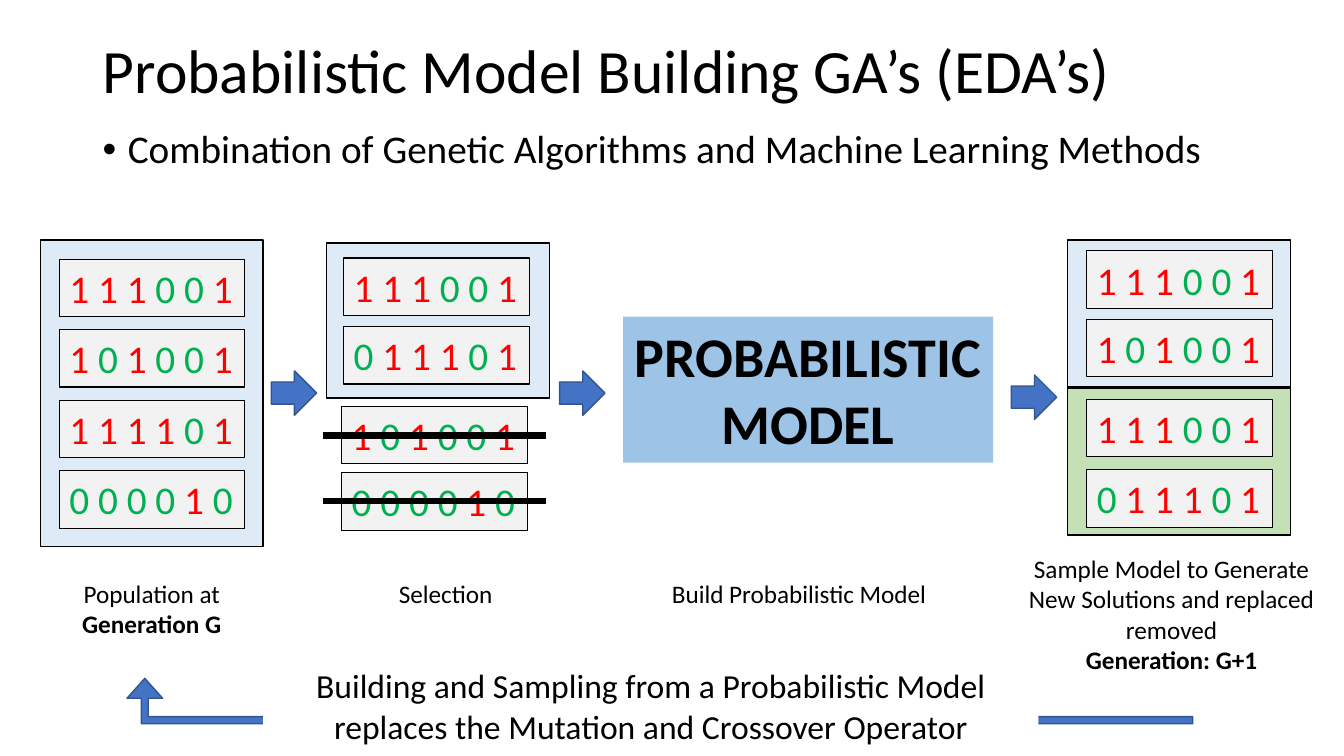
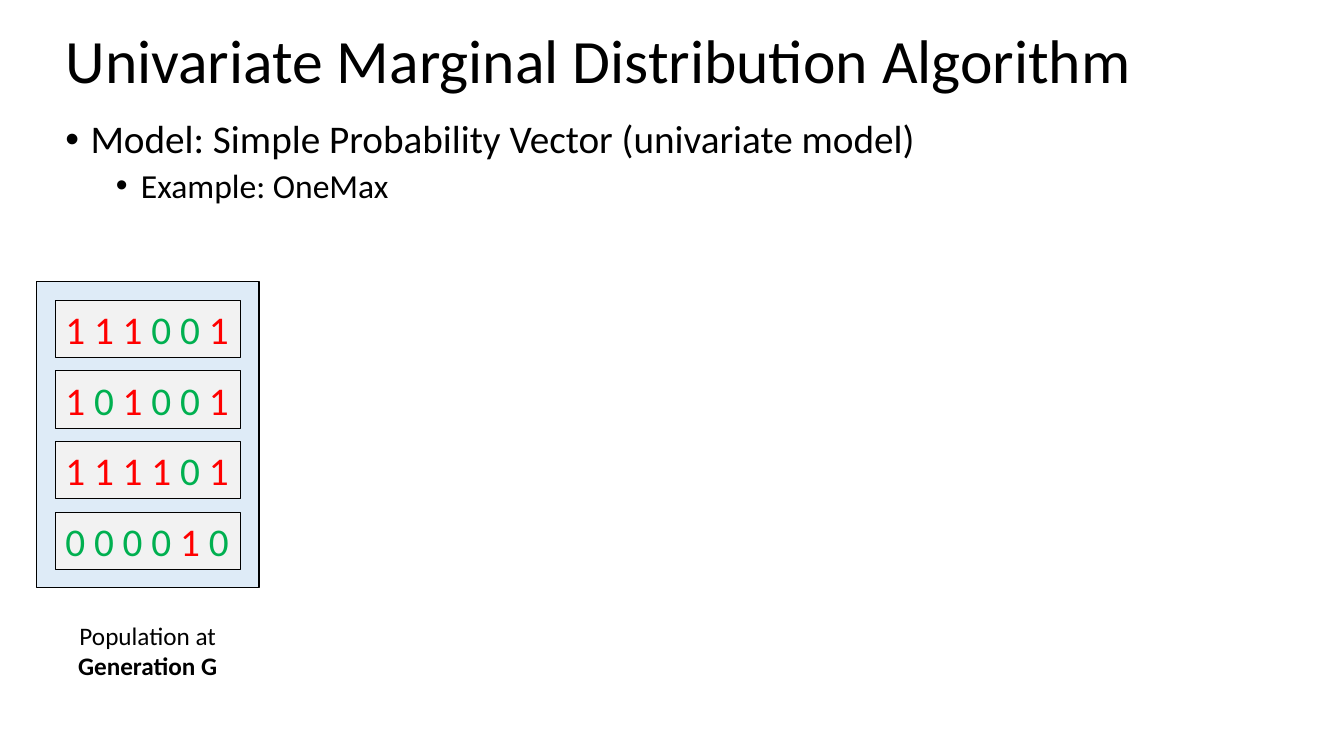
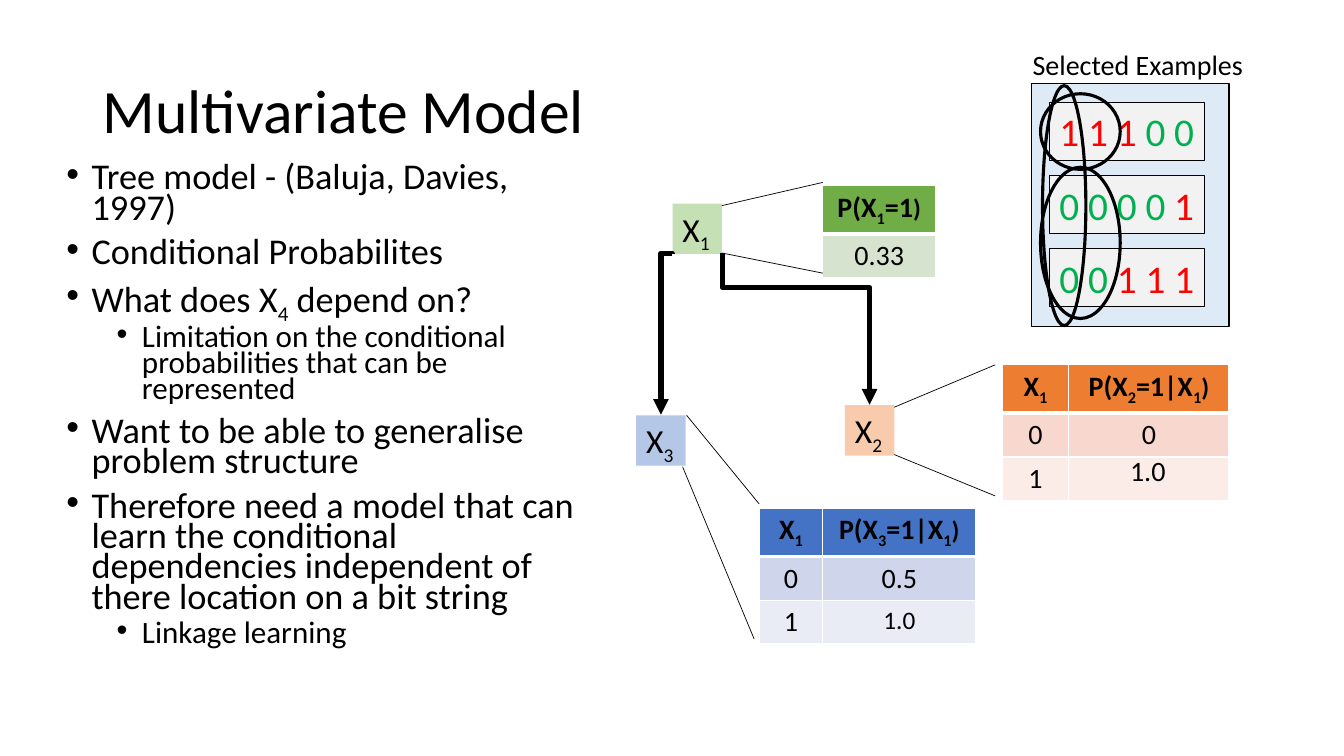
from itertools import groupby

from lxml.etree import SubElement
from pptx import Presentation
from pptx.dml.color import RGBColor
from pptx.enum.shapes import MSO_CONNECTOR, MSO_SHAPE
from pptx.enum.text import MSO_ANCHOR, MSO_AUTO_SIZE, PP_ALIGN
from pptx.oxml.ns import qn
from pptx.util import Inches, Pt

BLACK = RGBColor(0x00, 0x00, 0x00)
WHITE = RGBColor(0xFF, 0xFF, 0xFF)
RED = RGBColor(0xFF, 0x00, 0x00)
BIT_GREEN = RGBColor(0x00, 0xB0, 0x50)
GRAY = RGBColor(0xF2, 0xF2, 0xF2)
PALE_BLUE = RGBColor(0xDE, 0xEB, 0xF7)
LIGHT_BLUE = RGBColor(0x9D, 0xC3, 0xE6)
NODE_BLUE = RGBColor(0xB4, 0xC7, 0xE7)
NODE_GREEN = RGBColor(0xC5, 0xE0, 0xB4)
NODE_ORANGE = RGBColor(0xF8, 0xCB, 0xAD)
BLUE = RGBColor(0x44, 0x72, 0xC4)
DARK_BLUE = RGBColor(0x32, 0x54, 0x91)
GREEN = RGBColor(0x70, 0xAD, 0x47)
GREEN_ROW = RGBColor(0xD5, 0xE3, 0xCF)
ORANGE = RGBColor(0xED, 0x7D, 0x31)
ORANGE_ROWS = [RGBColor(0xF8, 0xD7, 0xCE), RGBColor(0xFC, 0xEC, 0xE8)]
BLUE_ROWS = [RGBColor(0xCF, 0xD5, 0xEA), RGBColor(0xE9, 0xEB, 0xF5)]
FONT = "Calibri"
RECT = MSO_SHAPE.RECTANGLE


def write(p, text, size, bold=False, color=BLACK):
    """Add runs to a paragraph; the character after each _ is a subscript."""
    plain, *subs = text.split("_")
    parts = [(plain, False)]
    for part in subs:
        parts += [(part[0], True), (part[1:], False)]
    for part, is_sub in parts:
        if part:
            r = p.add_run()
            r.text = part
            for name, value in {"name": FONT, "size": Pt(size), "bold": bold}.items():
                setattr(r.font, name, value)
            r.font.color.rgb = color
            if is_sub:
                r.font._element.set("baseline", "-25000")


def put(s, kind, x, y, w, h, fill=None, line=None, weight=1):
    """Add a shape, or a text box when kind is None."""
    at = [Inches(v) for v in (x, y, w, h)]
    if kind is None:
        sp = s.shapes.add_textbox(*at)
    else:
        sp = s.shapes.add_shape(kind, *at)
        sp.shadow.inherit = False
    if fill is None:
        sp.fill.background()
    else:
        sp.fill.solid()
        sp.fill.fore_color.rgb = fill
    if line is None:
        sp.line.fill.background()
    else:
        sp.line.color.rgb = line
        sp.line.width = Pt(weight)
    tf = sp.text_frame
    tf.word_wrap = True
    tf.vertical_anchor = MSO_ANCHOR.TOP
    tf.paragraphs[0].alignment = PP_ALIGN.LEFT
    return sp


prs = Presentation()
prs.slide_width, prs.slide_height = Inches(13.33), Inches(7.5)

# Slides with titles
titles = [
    ("Probabilistic Model Building GA’s (EDA’s)", 0.92, 0, 11.5),
    ("Univariate Marginal Distribution Algorithm", 0.55, -0.09, 12.2),
    ("Multivariate Model", 0.92, 0.4, 11.5),
]
for text, x, y, w in titles:
    s = prs.slides.add_slide(prs.slide_layouts[5])
    title = s.shapes.title
    place = {"left": x, "top": y, "width": w, "height": 1.45}
    for name, value in place.items():
        setattr(title, name, Inches(value))
    tf = title.text_frame
    tf.auto_size = MSO_AUTO_SIZE.NONE
    tf.vertical_anchor = MSO_ANCHOR.MIDDLE
    p = tf.paragraphs[0]
    p.alignment = PP_ALIGN.LEFT
    p.line_spacing = 0.9
    write(p, text, 44)
overview, univariate, multivariate = prs.slides

# Bullet lists: box, line spacing, sizes by level, items
bodies = [
    (overview, (0.92, 1.24, 11.31, 1), 0.9, (28, 24), [
        (0, "Combination of Genetic Algorithms and Machine Learning Methods"),
    ]),
    (univariate, (0.55, 1.14, 12.2, 1.06), 0.9, (28, 24), [
        (0, "Model: Simple Probability Vector (univariate model)"),
        (1, "Example: OneMax"),
    ]),
    (multivariate, (0.56, 1.59, 5.37, 5.16), 0.7, (25.9, 22.2), [
        (0, "Tree model - (Baluja, Davies, 1997)"),
        (0, "Conditional Probabilites"),
        (0, "What does X_4 depend on?"),
        (1, "Limitation on the conditional probabilities that can be represented"),
        (0, "Want to be able to generalise problem structure"),
        (0, "Therefore need a model that can learn the conditional dependencies "
            "independent of there location on a bit string"),
        (1, "Linkage learning"),
    ]),
]
for s, box, spacing, sizes, items in bodies:
    tf = put(s, None, *box).text_frame
    for i, (level, text) in enumerate(items):
        p = tf.add_paragraph() if i else tf.paragraphs[0]
        p.level = level
        p.line_spacing = spacing
        p.space_before = Pt((10, 5)[level])
        pPr = p._p.get_or_add_pPr()
        pPr.set("marL", str(Inches(0.25 + 0.5 * level)))
        pPr.set("indent", str(Inches(-0.25)))
        SubElement(pPr, qn("a:buFont")).set("typeface", "Arial")
        SubElement(pPr, qn("a:buChar")).set("char", "•")
        write(p, text, sizes[level])

# Panels behind the bit strings
for s, x, y, w, h, fill in [
    (overview, 3.24, 2.41, 2.21, 1.54, PALE_BLUE),
    (overview, 0.4, 2.38, 2.21, 3.04, PALE_BLUE),
    (overview, 10.59, 3.85, 2.21, 1.46, NODE_GREEN),
    (overview, 10.59, 2.38, 2.21, 1.46, PALE_BLUE),
    (univariate, 0.36, 2.79, 2.21, 3.04, PALE_BLUE),
    (multivariate, 10.23, 0.83, 1.96, 2.41, PALE_BLUE),
]:
    put(s, RECT, x, y, w, h, fill, BLACK)

# Bit strings: left, width, first top, step, strings
population = ["111001", "101001", "111101", "000010"]
for s, x, w, top, step, strings in [
    (overview, 0.59, 1.84, 2.57, 0.7, population),
    (overview, 3.41, 1.84, 2.56, 0.68, ["111001", "011101"]),
    (overview, 3.39, 1.84, 4.03, 0.66, ["101001", "000010"]),
    (overview, 10.78, 1.84, 2.49, 0.68, ["111001", "101001"]),
    (overview, 10.78, 1.84, 3.96, 0.7, ["111001", "011101"]),
    (univariate, 0.55, 1.84, 2.98, 0.7, population),
    (multivariate, 10.41, 1.54, 1.02, 0.725, ["11100", "00001", "00111"]),
]:
    for i, bits in enumerate(strings):
        sp = put(s, RECT, x, top + i * step, w, 0.57, GRAY, BLACK, 0.75)
        lead = ""
        for bit, group in groupby(bits):
            color = RED if bit == "1" else BIT_GREEN
            write(sp.text_frame.paragraphs[0], lead + " ".join(group), 28, color=color)
            lead = " "

# Flow arrows
for x, y in [(2.69, 3.68), (5.55, 3.68), (10.03, 3.72)]:
    put(overview, MSO_SHAPE.RIGHT_ARROW, x, y, 0.45, 0.44, BLUE, DARK_BLUE)
loop_arrow = put(overview, MSO_SHAPE.BENT_UP_ARROW, 1.26, 6.73, 10.57, 0.45, BLUE, DARK_BLUE)
for i, value in enumerate((0.155, 0.393, 0.44)):
    loop_arrow.adjustments[i] = value
loop_arrow._element.spPr.find(qn("a:xfrm")).set("flipH", "1")

# Centred texts: box, fill, size, (text, bold) runs
for s, box, fill, size, runs in [
    (overview, (0.4, 5.69, 2.21, 0.71), None, 18,
     [("Population at ", False), ("Generation G", True)]),
    (univariate, (0.36, 6.1, 2.21, 0.71), None, 18,
     [("Population at ", False), ("Generation G", True)]),
    (overview, (3.85, 5.69, 1.14, 0.4), None, 18, [("Selection", False)]),
    (overview, (6.55, 5.69, 2.75, 0.4), None, 18, [("Build Probabilistic Model", False)]),
    (overview, (6.18, 3.14, 3.67, 1.45), LIGHT_BLUE, 40, [("PROBABILISTIC MODEL", True)]),
    (overview, (2.61, 6.55, 7.69, 0.91), WHITE, 24,
     [("Building and Sampling from a Probabilistic Model replaces the Mutation "
       "and Crossover Operator", False)]),
    (multivariate, (10.13, 0.42, 2.31, 0.44), None, 20, [("Selected Examples", False)]),
]:
    sp = put(s, RECT if fill else None, *box, fill)
    p = sp.text_frame.paragraphs[0]
    p.alignment = PP_ALIGN.CENTER
    for text, bold in runs:
        write(p, text, size, bold)

# Caption of the new generation
tf = put(overview, None, 10.03, 5.44, 3.18, 1.31).text_frame
for p, text, bold in [
    (tf.paragraphs[0], "Sample Model to Generate New Solutions and replaced removed", False),
    (tf.add_paragraph(), "Generation: G+1", True),
]:
    p.alignment = PP_ALIGN.CENTER
    write(p, text, 18, bold)

# Tree nodes
for x, y, fill, text in [
    (6.67, 2.02, NODE_GREEN, "X_1"),
    (8.38, 4.02, NODE_ORANGE, "X_2"),
    (6.31, 4.12, NODE_BLUE, "X_3"),
]:
    sp = put(multivariate, RECT, x, y, 0.49, 0.5, fill)
    write(sp.text_frame.paragraphs[0], text, 24)

# Probability tables: place, column widths, header fill, row fills, rows
for x, y, widths, head, fills, rows in [
    (8.16, 1.84, [1.12], GREEN, [GREEN_ROW], [["P(X_1=1)"], ["0.33"]]),
    (9.94, 3.62, [0.66, 1.59], ORANGE, ORANGE_ROWS,
     [["X_1", "P(X_2=1|X_1)"], ["0", "0"], ["1", ""]]),
    (7.53, 5.04, [0.63, 1.52], BLUE, BLUE_ROWS,
     [["X_1", "P(X_3=1|X_1)"], ["0", "0.5"], ["1", "1.0"]]),
]:
    table = multivariate.shapes.add_table(
        len(rows), len(widths), Inches(x), Inches(y),
        Inches(sum(widths)), Inches(0.43 * len(rows))).table
    for column, w in zip(table.columns, widths):
        column.width = Inches(w)
    for i, row in enumerate(rows):
        for j, text in enumerate(row):
            cell = table.cell(i, j)
            tcPr = cell._tc.get_or_add_tcPr()
            for side in "LRTB":
                thick = (i, side) in [(0, "B"), (1, "T")]
                ln = SubElement(tcPr, qn("a:ln" + side), w=str(Pt(3 if thick else 1)))
                SubElement(SubElement(ln, qn("a:solidFill")), qn("a:srgbClr")).set("val", str(WHITE))
            cell.fill.solid()
            cell.fill.fore_color.rgb = fills[i - 1] if i else head
            p = cell.text_frame.paragraphs[0]
            p.alignment = PP_ALIGN.CENTER
            bold = i == 0
            write(p, text.rstrip(")"), 18 if text == "1.0" else 20, bold)
            if text.endswith(")"):
                write(p, ")", 18, bold)

# Loose value over the last cell of the X2 table
sp = put(multivariate, None, 11.11, 4.45, 0.56, 0.44)
write(sp.text_frame.paragraphs[0], "1.0", 20)

# Strike-outs and callout lines
for s, weight, lines in [
    (overview, 4.75, [(3.2, 4.32, 5.42, 4.32), (3.2, 4.97, 5.42, 4.97)]),
    (multivariate, 0.5, [
        (7.16, 2.04, 8.16, 1.81), (7.16, 2.51, 8.16, 2.71),
        (8.87, 4.04, 9.87, 3.62), (8.87, 4.51, 9.87, 4.92),
        (6.81, 4.12, 7.53, 5), (6.77, 4.63, 7.48, 6.34),
    ]),
]:
    for ends in lines:
        line = s.shapes.add_connector(MSO_CONNECTOR.STRAIGHT, *[Inches(v) for v in ends])
        line.line.color.rgb = BLACK
        line.line.width = Pt(weight)
        SubElement(line._element.spPr, qn("a:effectLst"))

# Tree edges: unrotated box, rotation, flip, bend position
for x, y, w, h, angle, flip, bend in [
    (7.14, 2.53, 1.51, 1.46, 270, "1", 23100),
    (5.81, 3.26, 1.6, 0.11, 90, "0", -200),
]:
    edge = multivariate.shapes.add_connector(
        MSO_CONNECTOR.ELBOW, Inches(x), Inches(y), Inches(x + w), Inches(y + h))
    edge.line.color.rgb = BLACK
    edge.line.width = Pt(3.75)
    spPr = edge._element.spPr
    xfrm = spPr.find(qn("a:xfrm"))
    xfrm.set("rot", str(angle * 60000))
    xfrm.set("flipH", flip)
    guides = spPr.find(qn("a:prstGeom")).get_or_add_avLst()
    SubElement(guides, qn("a:gd"), name="adj1", fmla=f"val {bend}")
    SubElement(spPr.find(qn("a:ln")), qn("a:tailEnd"), type="triangle")
    SubElement(spPr, qn("a:effectLst"))

# Rings around related bits
for x, y, w, h in [(10.34, 0.85, 0.43, 2.38), (10.32, 1.66, 0.79, 1.5), (10.32, 0.93, 0.79, 0.75)]:
    put(multivariate, MSO_SHAPE.OVAL, x, y, w, h, None, BLACK, 2.25)

prs.save("out.pptx")
